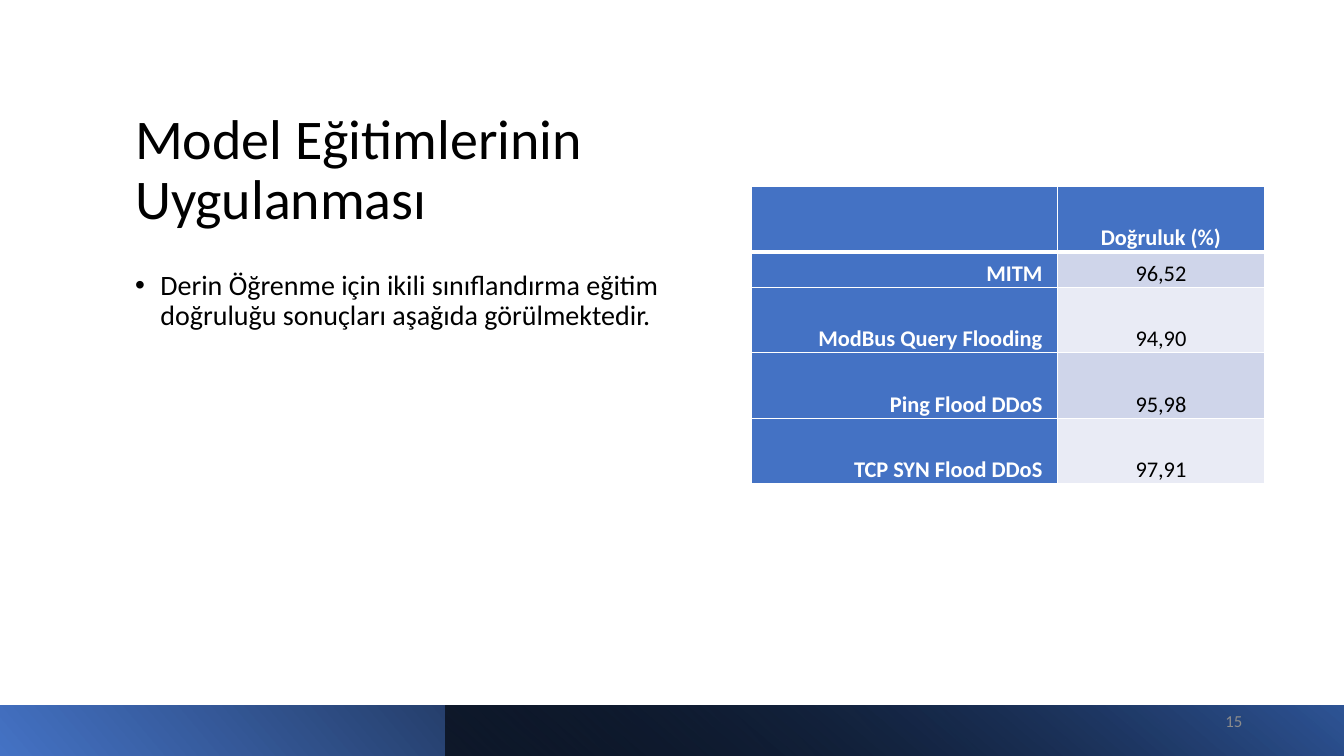
from lxml.etree import SubElement
from pptx import Presentation
from pptx.dml.color import RGBColor
from pptx.enum.shapes import MSO_SHAPE
from pptx.enum.text import MSO_ANCHOR, PP_ALIGN
from pptx.oxml.ns import qn
from pptx.util import Inches, Pt

TITLE = "Model Eğitimlerinin Uygulanması"
BODY = "Derin Öğrenme için ikili sınıflandırma eğitim doğruluğu sonuçları aşağıda görülmektedir."
PAGE = "15"
ACCURACY = [
    ("", "Doğruluk (%)"),
    ("MITM", "96,52"),
    ("ModBus Query Flooding", "94,90"),
    ("Ping Flood DDoS", "95,98"),
    ("TCP SYN Flood DDoS", "97,91"),
]

W, H = 13.33, 7.5
LEFT, TEXT_W = 1.24, 5.42
BAR_H = H / 15
COLS, ROW, SHORT_ROW = (3.04, 2.05), 0.65, 0.35
BLUE, WHITE, BLACK, GREY = "4472C4", "FFFFFF", "000000", "8C8C8C"
BANDS = ("E9EBF5", "CFD5EA")


def rgb(color):
    return RGBColor.from_string(color)


def box(*lengths):
    return [Inches(v) for v in lengths]


def place(shape, *lengths):
    shape.left, shape.top, shape.width, shape.height = box(*lengths)


def style(p, size, color=BLACK, bold=False, align=PP_ALIGN.LEFT, spacing=None):
    p.alignment = align
    p.line_spacing = spacing
    for r in p.runs:
        r.font.name, r.font.size, r.font.bold = "Calibri", Pt(size), bold
        r.font.color.rgb = rgb(color)


def add_bar(s, left, stops, angle):
    bar = s.shapes.add_shape(MSO_SHAPE.RECTANGLE, *box(left, H - BAR_H, W - left, BAR_H))
    bar.shadow.inherit = False
    bar.line.fill.background()
    bar.fill.gradient()
    bar.fill.gradient_angle = angle
    for stop, (position, color, opacity) in zip(bar.fill.gradient_stops, stops):
        stop.position = position
        stop.color.rgb = rgb(color)
    colors = bar._element.spPr.findall(".//" + qn("a:srgbClr"))
    for clr, (position, color, opacity) in zip(colors, stops):
        SubElement(clr, qn("a:alpha"), val=str(opacity * 1000))


def add_borders(cell, bottom):
    tcPr = cell._tc.get_or_add_tcPr()
    for i, (side, width) in enumerate((("L", 1), ("R", 1), ("T", 1), ("B", bottom))):
        ln = SubElement(tcPr, qn("a:ln" + side), w=str(int(Pt(width))))
        SubElement(SubElement(ln, qn("a:solidFill")), qn("a:srgbClr"), val=WHITE)
        tcPr.insert(i, ln)


prs = Presentation()
prs.slide_width, prs.slide_height = box(W, H)
s = prs.slides.add_slide(prs.slide_layouts[1])

# Title and bullet
title, body = s.shapes.title, s.placeholders[1]
place(title, LEFT, 0.55, TEXT_W, 1.8)
title.text_frame.text = TITLE
title.text_frame.vertical_anchor = MSO_ANCHOR.BOTTOM
style(title.text_frame.paragraphs[0], 40, spacing=0.9)

place(body, LEFT, 2.64, TEXT_W, 3.85)
body.text_frame.text = BODY
p = body.text_frame.paragraphs[0]
style(p, 20, spacing=0.9)
p.space_before = Pt(10)
pPr = p._p.get_or_add_pPr()
pPr.set("marL", str(int(Inches(0.25))))
pPr.set("indent", str(-int(Inches(0.25))))

# Footer bars
add_bar(s, 0, ((0, BLUE, 100), (0.78, BLACK, 100)), 40)
add_bar(s, 4.42, ((0, BLACK, 63), (1, "2F5597", 100)), 50)

# Accuracy table
heights = [SHORT_ROW if i == 1 else ROW for i in range(len(ACCURACY))]
table = s.shapes.add_table(len(ACCURACY), len(COLS),
                           *box(7.45, 1.85, sum(COLS), sum(heights))).table
for column, width in zip(table.columns, COLS):
    column.width = Inches(width)
for i, values in enumerate(ACCURACY):
    table.rows[i].height = Inches(heights[i])
    for j, value in enumerate(values):
        cell = table.cell(i, j)
        head = i == 0 or j == 0
        cell.fill.solid()
        cell.fill.fore_color.rgb = rgb(BLUE if head else BANDS[i % 2])
        add_borders(cell, 3 if i == 0 else 1)
        cell.margin_left = cell.margin_right = Inches(0.15)
        cell.margin_top = cell.margin_bottom = 0
        cell.vertical_anchor = MSO_ANCHOR.BOTTOM
        cell.text_frame.text = value
        p = cell.text_frame.paragraphs[0]
        style(p, 16, WHITE if head else BLACK, head,
              PP_ALIGN.CENTER if j else PP_ALIGN.RIGHT, 1.07)
        p.space_after = Pt(8)

# Page number
tf = s.shapes.add_textbox(*box(9.42, 6.95, 3, 0.4)).text_frame
tf.word_wrap = True
tf.vertical_anchor = MSO_ANCHOR.MIDDLE
tf.text = PAGE
style(tf.paragraphs[0], 12, GREY, align=PP_ALIGN.RIGHT)

prs.save("out.pptx")
